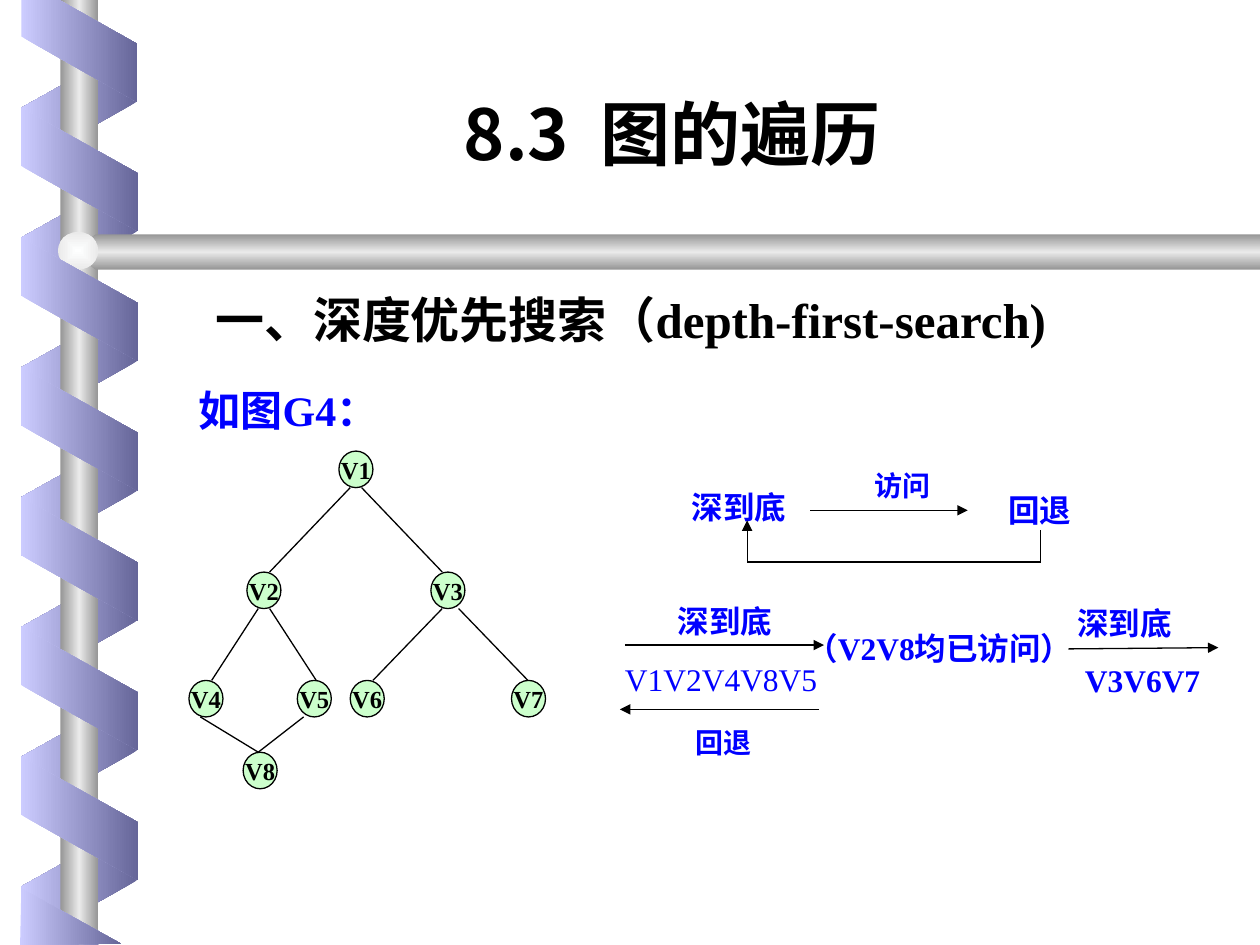
from lxml.etree import SubElement
from pptx import Presentation
from pptx.dml.color import RGBColor
from pptx.enum.shapes import MSO_CONNECTOR, MSO_SHAPE
from pptx.enum.text import MSO_ANCHOR, MSO_AUTO_SIZE, PP_ALIGN
from pptx.oxml.ns import qn
from pptx.util import Inches, Pt

LATIN, CHINESE = "Times New Roman", "Noto Sans CJK SC"
BLACK, BLUE, GREEN = "000000", "0000FF", "CCFFCC"
LIGHT, DARK = "CCCCFF", "666699"
METAL = ["969696", "EAEAEA", "969696"]
PITCH = 1.03  # distance between turns of the spiral
NODE_W, NODE_H = 0.27, 0.29

# Left and top of every tree node
NODES = {
    "V1": (2.69, 3.58), "V2": (1.96, 4.54), "V3": (3.42, 4.54),
    "V4": (1.5, 5.4), "V5": (2.36, 5.4), "V6": (2.78, 5.4),
    "V7": (4.06, 5.4), "V8": (1.93, 5.97),
}
# Parent, child, x at the parent's bottom, x at the child's top
EDGES = [
    ("V1", "V2", 2.78, 2.14), ("V1", "V3", 2.87, 3.51),
    ("V2", "V4", 2.05, 1.68), ("V2", "V5", 2.14, 2.51),
    ("V3", "V6", 3.51, 2.96), ("V3", "V7", 3.64, 4.19),
    ("V4", "V8", 1.59, 2.05), ("V5", "V8", 2.41, 2.05),
]
# Labels of the search steps: text, left, top, width, bold
STEPS = [
    ("深到底", 5.49, 3.87, 0.75, True), ("回退", 8, 3.9, 0.5, True),
    ("深到底", 5.38, 4.78, 0.75, True), ("V1V2V4V8V5", 4.96, 5.24, 1.53, False),
    ("（V2V8均已访问）", 6.4, 4.99, 2.4, True),
    ("深到底", 8.55, 4.79, 0.75, True), ("V3V6V7", 8.61, 5.25, 0.92, True),
]
# Start, end, arrowhead
STEP_LINES = [
    ((6.43, 4.05), (7.68, 4.05), True),
    ((8.26, 4.21), (8.26, 4.46), False),
    ((8.26, 4.46), (5.93, 4.46), False),
    ((5.93, 4.46), (5.93, 4.13), True),
    ((4.96, 5.12), (6.54, 5.12), True),
    ((8.48, 5.15), (9.67, 5.14), True),
    ((6.5, 5.63), (4.92, 5.63), True),
]


def color(hex_text):
    return RGBColor.from_string(hex_text)


def paint_gradient(shape, colors, angle=0, centered=False):
    """Fill a shape with evenly spaced stops, linear or from its centre."""
    shape.shadow.inherit = False
    shape.line.fill.background()
    shape.fill.gradient()
    gradient = shape.element.spPr.find(qn("a:gradFill"))
    gradient.set("rotWithShape", "0")
    for child in list(gradient):
        gradient.remove(child)
    stops = SubElement(gradient, qn("a:gsLst"))
    for index, value in enumerate(colors):
        position = 100000 * index // (len(colors) - 1)
        stop = SubElement(stops, qn("a:gs"), pos=str(position))
        SubElement(stop, qn("a:srgbClr"), val=value)
    if centered:
        center = SubElement(gradient, qn("a:path"), path="rect")
        SubElement(center, qn("a:fillToRect"),
                   {side: "50000" for side in "ltrb"})
    else:
        SubElement(gradient, qn("a:lin"), ang=str(angle * 60000), scaled="1")


def add_preset(page, kind, left, top, width, height):
    return page.shapes.add_shape(kind, Inches(left), Inches(top),
                                 Inches(width), Inches(height))


def add_outline(page, points, colors, angle=0):
    """Draw a closed outline from points in inches."""
    corners = [(Inches(x), Inches(y)) for x, y in points]
    builder = page.shapes.build_freeform(*corners[0])
    builder.add_line_segments(corners[1:], close=True)
    paint_gradient(builder.convert_to_shape(), colors, angle)


def add_ribbon(page, top, height, front):
    ribbon = add_preset(page, MSO_SHAPE.PARALLELOGRAM, 0.14, top, 0.98, height)
    ribbon.adjustments[0] = 0.56
    ribbon.rotation = 270 if front else 90
    if not front:
        ribbon.element.spPr.xfrm.set("flipH", "1")
    paint_gradient(ribbon, [LIGHT, DARK] if front else [DARK, LIGHT])


def write_text(frame, text, size=18, ink=BLUE, bold=True, latin=LATIN,
               align=PP_ALIGN.CENTER, wrap=False):
    frame.word_wrap = wrap
    para = frame.paragraphs[0]
    para.alignment = align
    span = para.add_run()
    span.text = text
    span.font.size = Pt(size)
    span.font.bold = bold
    span.font.name = latin
    span.font.color.rgb = color(ink)
    SubElement(span.font._element, qn("a:ea"), typeface=CHINESE)


def add_text(page, text, left, top, width, height, inset=True, **style):
    box = page.shapes.add_textbox(Inches(left), Inches(top),
                                  Inches(width), Inches(height))
    frame = box.text_frame
    if not inset:
        frame.margin_left = frame.margin_right = 0
        frame.margin_top = frame.margin_bottom = 0
    write_text(frame, text, **style)
    frame.auto_size = MSO_AUTO_SIZE.SHAPE_TO_FIT_TEXT


def add_line(page, start, end, arrow=False):
    line = page.shapes.add_connector(MSO_CONNECTOR.STRAIGHT,
                                     *map(Inches, start + end))
    line.line.color.rgb = color(BLACK)
    line.line.width = Pt(0.75)
    if arrow:
        SubElement(line.line._get_or_add_ln(), qn("a:tailEnd"), type="triangle")
    SubElement(line.element.spPr, qn("a:effectLst"))


def add_node(page, name, left, top):
    node = add_preset(page, MSO_SHAPE.OVAL, left, top, NODE_W, NODE_H)
    node.shadow.inherit = False
    node.fill.solid()
    node.fill.fore_color.rgb = color(GREEN)
    node.line.color.rgb = color(BLACK)
    node.line.width = Pt(0.75)
    node.text_frame.vertical_anchor = MSO_ANCHOR.MIDDLE
    write_text(node.text_frame, name, size=14, ink=BLACK)


def draw_background(page):
    # Back half of the spiral, then the rods
    for turn in range(7):
        add_ribbon(page, 0.37 + PITCH * turn, 0.92, front=False)
    rod = add_preset(page, MSO_SHAPE.RECTANGLE, 0.48, 0, 0.3, 7.5)
    paint_gradient(rod, METAL)
    add_outline(page, [(10, 1.86), (0.76, 1.86), (0.6, 2), (0.76, 2.14),
                       (10, 2.14)], METAL, angle=90)
    knob = add_preset(page, MSO_SHAPE.OVAL, 0.46, 1.84, 0.32, 0.3)
    paint_gradient(knob, ["FEFFFF", "EAEAEA"], centered=True)
    # Front half, with cut pieces at the slide's top and bottom
    for turn in range(6):
        add_ribbon(page, 0.88 + PITCH * turn, 0.93, front=True)
    add_outline(page, [(0.17, 0), (0.17, 0.29), (1.09, 0.81), (1.09, 0.35),
                       (0.47, 0)], [LIGHT, DARK])
    add_outline(page, [(0.96, 7.49), (0.17, 7.05), (0.16, 7.5)], [LIGHT, DARK])


def draw_tree(page):
    for parent, child, start_x, end_x in EDGES:
        add_line(page, (start_x, NODES[parent][1] + NODE_H),
                 (end_x, NODES[child][1]))
    for name, (left, top) in NODES.items():
        add_node(page, name, left, top)


def draw_steps(page):
    for text, left, top, width, bold in STEPS:
        add_text(page, text, left, top, width, 0.3, inset=False, bold=bold,
                 align=PP_ALIGN.LEFT)
    for start, end, arrow in STEP_LINES:
        add_line(page, start, end, arrow)
    for text, left, top in [("回退", 5.33, 5.71), ("访问", 6.75, 3.67)]:
        add_text(page, text, left, top, 0.83, 0.37, size=16, wrap=True)


def main():
    deck = Presentation()
    deck.slide_width, deck.slide_height = Inches(10), Inches(7.5)
    page = deck.slides.add_slide(deck.slide_layouts[6])
    draw_background(page)
    # Headings
    add_text(page, "8.3  图的遍历", 2.42, 0.67, 5.83, 0.77, size=40,
             ink=BLACK, latin=CHINESE, wrap=True)
    add_text(page, "一、深度优先搜索（depth-first-search)", 1.56, 2.25, 6.89,
             0.57, size=28, ink=BLACK)
    add_text(page, "如图G4：", 1.34, 3, 1.9, 0.5, size=24)
    draw_tree(page)
    draw_steps(page)
    deck.save("out.pptx")


if __name__ == "__main__":
    main()
